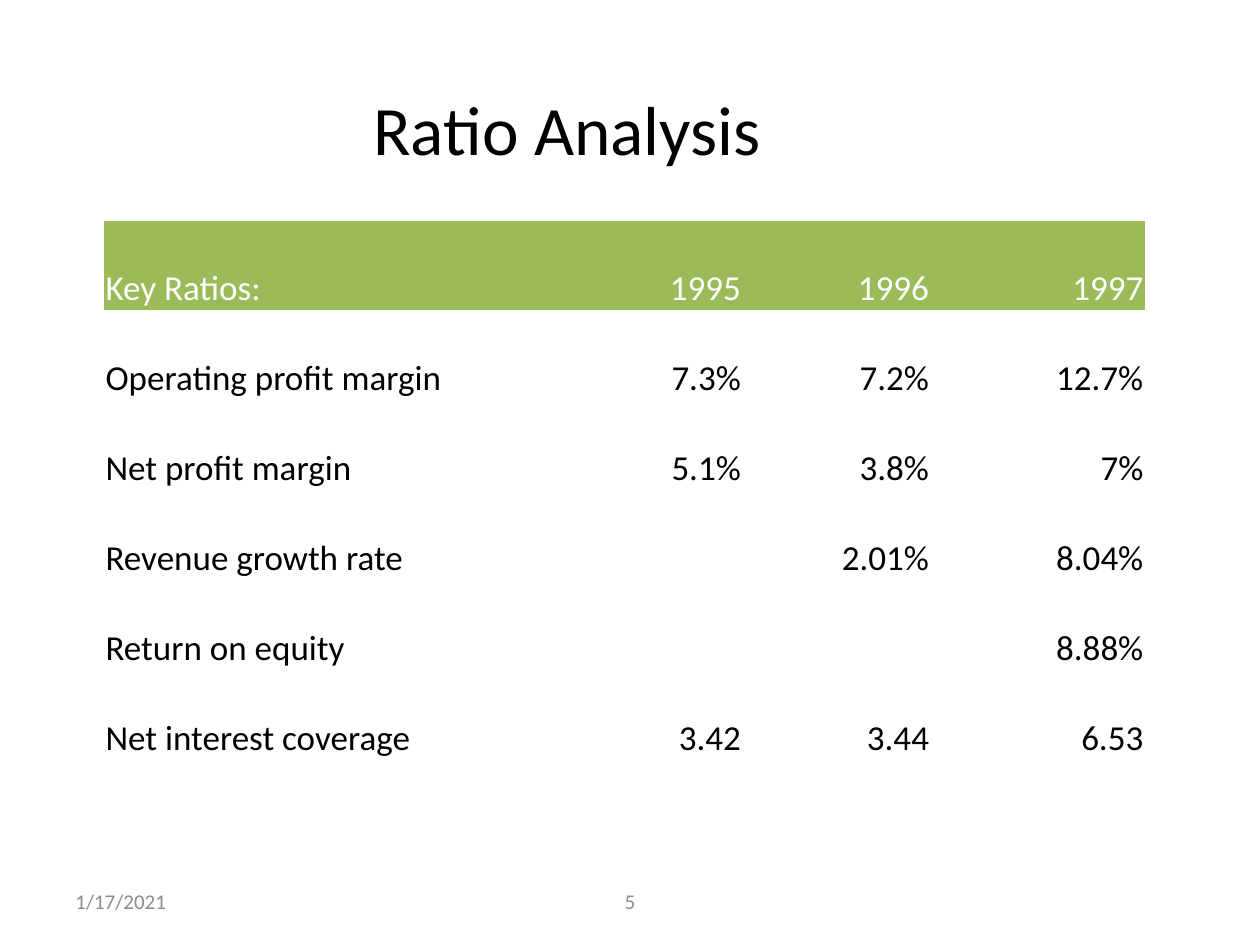
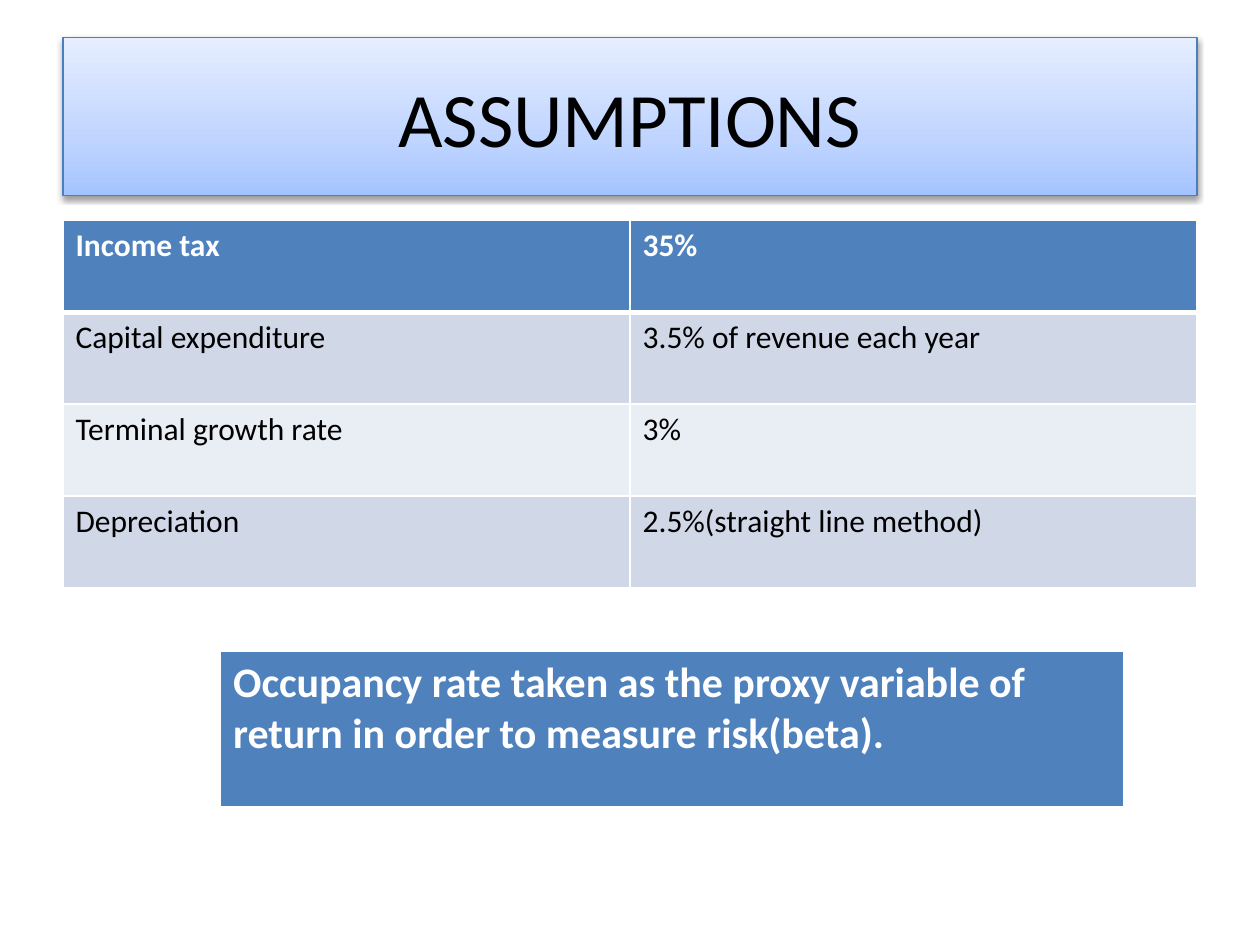
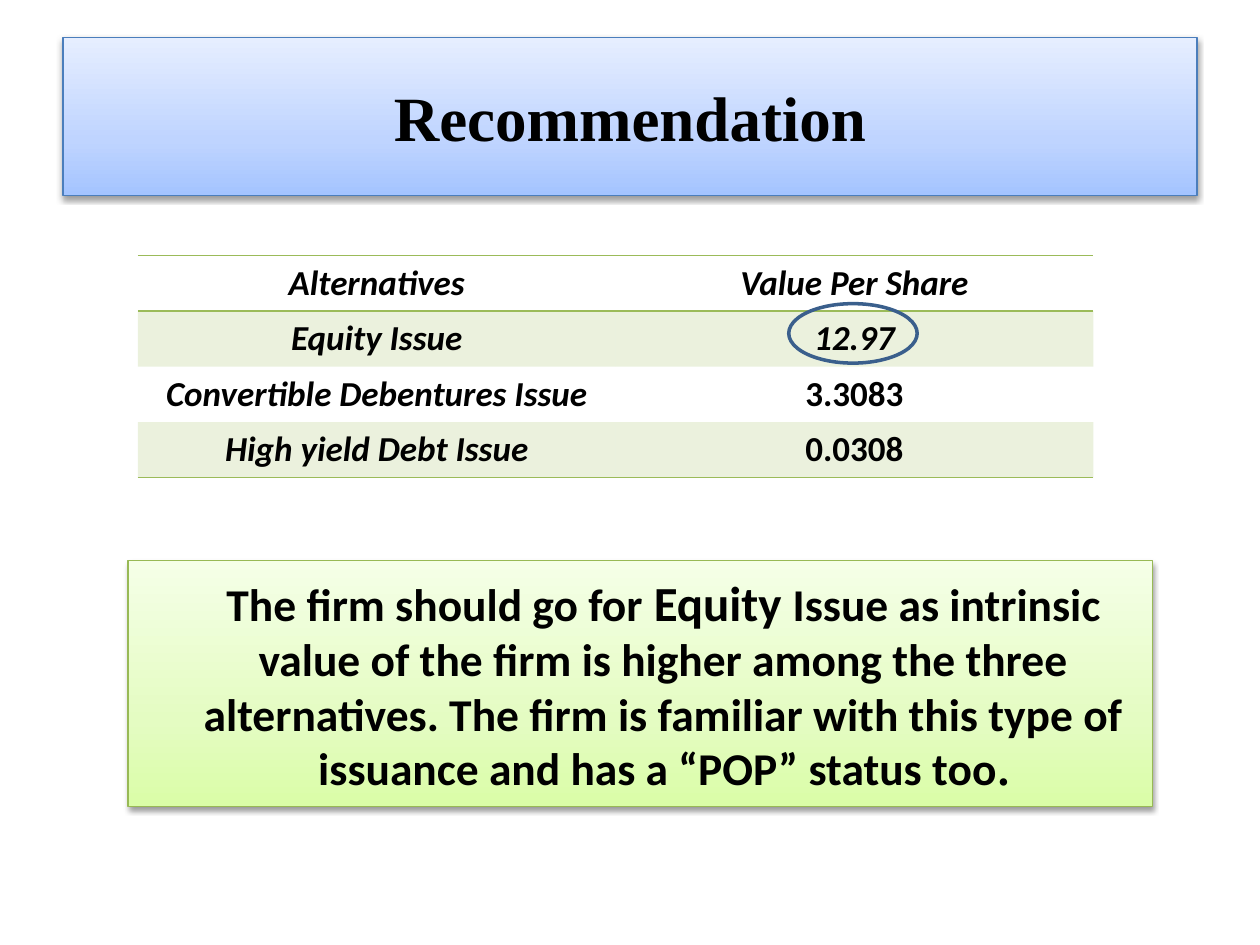
from dataclasses import dataclass, field

from lxml import etree
from pptx import Presentation
from pptx.dml.color import RGBColor
from pptx.enum.shapes import MSO_SHAPE
from pptx.enum.text import MSO_ANCHOR, MSO_AUTO_SIZE, PP_ALIGN
from pptx.oxml import parse_xml
from pptx.oxml.ns import nsdecls, qn
from pptx.util import Pt

LEFT, CENTER, RIGHT = PP_ALIGN.LEFT, PP_ALIGN.CENTER, PP_ALIGN.RIGHT
TOP, MIDDLE, BOTTOM = MSO_ANCHOR.TOP, MSO_ANCHOR.MIDDLE, MSO_ANCHOR.BOTTOM
NO_AUTOFIT = MSO_AUTO_SIZE.NONE
ELLIPSE = MSO_SHAPE.OVAL

# Layouts of the default template
TITLE_AND_BODY, TITLE_ONLY = 1, 5

SANS, SERIF = "Calibri", "Times New Roman"
COLORS = {
    "black": "000000",
    "white": "FFFFFF",
    "footer": "8C8C8C",
    "blue": "4F81BD",
    "blue_line": "4B7EBC",
    "blue_ring": "3A5F8C",
    "blue_band": "D0D8E8",
    "blue_pale": "E9EDF4",
    "green": "9BBB59",
    "green_line": "98B955",
}
BLUE_GRADIENT = ((0, "A4C4FF"), (35, "BFD4FF"), (100, "E6EEFF"))
GREEN_GRADIENT = ((0, "DAFDA7"), (35, "E4FCC2"), (100, "F5FFE7"))
PLAIN_TABLE_STYLE = "{2D5ABB26-0587-4C30-8999-92F81FD0307C}"


@dataclass(frozen=True)
class Box:
    left: float
    top: float
    width: float
    height: float

    def lengths(self) -> tuple:
        return Pt(self.left), Pt(self.top), Pt(self.width), Pt(self.height)


@dataclass(frozen=True)
class Font:
    size: float
    color: str = "black"
    bold: bool = False
    italic: bool = False
    face: str = SANS


@dataclass(frozen=True)
class Row:
    cells: tuple
    font: Font
    last_font: Font | None = None
    fill: str | None = None
    alpha: int = 100
    # Side letter -> (colour, width)
    borders: dict = field(default_factory=dict)


@dataclass(frozen=True)
class Grid:
    left: float
    top: float
    columns: tuple
    row_height: float
    rows: tuple
    aligns: tuple
    anchor: object = TOP
    # Left, top, right, bottom
    insets: tuple = (7.2, 3.6, 7.2, 3.6)


BANNER = Box(36, 21.6, 648, 90)


def rgb(name: str) -> RGBColor:
    return RGBColor.from_string(COLORS[name])


def add_run(paragraph, text: str, font: Font) -> None:
    run = paragraph.add_run()
    run.text = text
    run.font.name = font.face
    run.font.size = Pt(font.size)
    run.font.bold = font.bold
    run.font.italic = font.italic
    run.font.color.rgb = rgb(font.color)


def place(shape, box: Box) -> None:
    shape.left, shape.top, shape.width, shape.height = box.lengths()


def add_panel_look(shape, gradient: tuple, line: str) -> None:
    """Upward gradient, thin outline and soft shadow."""
    stops = "".join(
        f'<a:gs pos="{pos * 1000}"><a:srgbClr val="{color}"/></a:gs>'
        for pos, color in gradient
    )
    properties = shape.element.spPr
    properties.append(parse_xml(
        f'<a:gradFill {nsdecls("a")} rotWithShape="1"><a:gsLst>{stops}</a:gsLst>'
        '<a:lin ang="16200000" scaled="1"/></a:gradFill>'
    ))
    shape.line.color.rgb = rgb(line)
    shape.line.width = Pt(0.75)
    properties.append(parse_xml(
        f'<a:effectLst {nsdecls("a")}>'
        f'<a:outerShdw blurRad="{Pt(3.1)}" dist="{Pt(1.6)}" dir="5400000" rotWithShape="0">'
        f'<a:srgbClr val="{COLORS["black"]}"><a:alpha val="38000"/></a:srgbClr>'
        '</a:outerShdw></a:effectLst>'
    ))


def set_title(slide, text: str, box: Box, font: Font):
    title = slide.shapes.title
    place(title, box)
    frame = title.text_frame
    frame.auto_size = NO_AUTOFIT
    frame.vertical_anchor = MIDDLE
    paragraph = frame.paragraphs[0]
    paragraph.alignment = CENTER
    add_run(paragraph, text, font)
    return title


def set_banner_title(slide, text: str, font: Font) -> None:
    title = set_title(slide, text, BANNER, font)
    add_panel_look(title, BLUE_GRADIENT, "blue_line")


def add_footer(slide, text: str, box: Box, align) -> None:
    frame = slide.shapes.add_textbox(*box.lengths()).text_frame
    frame.word_wrap = True
    frame.vertical_anchor = MIDDLE
    frame.paragraphs[0].alignment = align
    add_run(frame.paragraphs[0], text, Font(12, "footer"))


def style_cell(cell, row: Row) -> None:
    properties = cell._tc.get_or_add_tcPr()
    for side in "LRTB":
        if side in row.borders:
            color, width = row.borders[side]
            properties.append(parse_xml(
                f'<a:ln{side} {nsdecls("a")} w="{Pt(width)}"><a:solidFill>'
                f'<a:srgbClr val="{COLORS[color]}"/></a:solidFill></a:ln{side}>'
            ))
    if row.fill is None:
        cell.fill.background()
        return
    cell.fill.solid()
    cell.fill.fore_color.rgb = rgb(row.fill)
    if row.alpha < 100:
        color = properties.find(qn("a:solidFill")).find(qn("a:srgbClr"))
        etree.SubElement(color, qn("a:alpha")).set("val", str(row.alpha * 1000))


def add_grid(slide, grid: Grid) -> None:
    box = Box(grid.left, grid.top, sum(grid.columns), grid.row_height * len(grid.rows))
    table = slide.shapes.add_table(len(grid.rows), len(grid.columns), *box.lengths()).table
    table.first_row = table.horz_banding = False
    table._tbl.tblPr.find(qn("a:tableStyleId")).text = PLAIN_TABLE_STYLE
    for column, width in zip(table.columns, grid.columns):
        column.width = Pt(width)
    for row, table_row in zip(grid.rows, table.rows):
        table_row.height = Pt(grid.row_height)
        fonts = [row.font] * (len(row.cells) - 1) + [row.last_font or row.font]
        for cell, text, font, align in zip(table_row.cells, row.cells, fonts, grid.aligns):
            cell.vertical_anchor = grid.anchor
            (cell.margin_left, cell.margin_top,
             cell.margin_right, cell.margin_bottom) = map(Pt, grid.insets)
            style_cell(cell, row)
            if text:
                paragraph = cell.text_frame.paragraphs[0]
                paragraph.alignment = align
                add_run(paragraph, text, font)


def build_ratios(prs) -> None:
    slide = prs.slides.add_slide(prs.slide_layouts[TITLE_ONLY])
    add_footer(slide, "1/17/2021", Box(36, 500.5, 168, 28.8), LEFT)
    add_footer(slide, "5", Box(246, 500.5, 228, 28.8), CENTER)
    title = set_title(slide, "Ratio Analysis", Box(0, 49, 648, 90), Font(39.6))
    title.text_frame.vertical_anchor = TOP
    title.text_frame.margin_top = 0

    ratios = (
        ("Operating profit margin", "7.3%", "7.2%", "12.7%"),
        ("Net profit margin", "5.1%", "3.8%", "7%"),
        ("Revenue growth rate", "", "2.01%", "8.04%"),
        ("Return on equity", "", "", "8.88%"),
        ("Net interest coverage", "3.42", "3.44", "6.53"),
    )
    header = Row(("Key Ratios:", "1995", "1996", "1997"), Font(20, "white"), fill="green")
    add_grid(slide, Grid(
        59.6, 126, (304.5, 60, 107.5, 122.5), 51.4,
        (header, *(Row(cells, Font(20)) for cells in ratios)),
        (LEFT, RIGHT, RIGHT, RIGHT), BOTTOM, (0.72, 0.72, 0.72, 0),
    ))


def build_assumptions(prs) -> None:
    slide = prs.slides.add_slide(prs.slide_layouts[TITLE_ONLY])
    set_banner_title(slide, "ASSUMPTIONS", Font(44))

    thin, thick = ("white", 1), ("white", 3)
    header_borders = {"L": thin, "R": thin, "T": thin, "B": thick}
    body_borders = {"L": thin, "R": thin, "B": thin}
    assumptions = (
        ("Capital expenditure", "3.5% of revenue each year"),
        ("Terminal growth rate", "3%"),
        ("Depreciation", "2.5%(straight line method)"),
    )
    bands = ("blue_band", "blue_pale", "blue_band")
    header = Row(("Income tax", "35%"), Font(18, "white", bold=True),
                 fill="blue", borders=header_borders)
    body = (Row(cells, Font(18), fill=band, borders=body_borders)
            for cells, band in zip(assumptions, bands))
    add_grid(slide, Grid(36, 126, (324, 324), 52.5, (header, *body), (LEFT, LEFT)))

    # Note on the risk measure
    note = Row(
        ("Occupancy rate taken as the proxy variable of return in order to measure risk(beta).",),
        Font(24, "white", bold=True), fill="blue", borders=header_borders,
    )
    add_grid(slide, Grid(126, 372, (516,), 90, (note,), (LEFT,)))


def build_recommendation(prs) -> None:
    slide = prs.slides.add_slide(prs.slide_layouts[TITLE_AND_BODY])
    set_banner_title(slide, "Recommendation", Font(36, bold=True, face=SERIF))

    # Advice panel
    advice = slide.placeholders[1]
    place(advice, Box(73.2, 320.4, 585.2, 140.4))
    add_panel_look(advice, GREEN_GRADIENT, "green_line")
    frame = advice.text_frame
    frame.auto_size = NO_AUTOFIT
    frame.vertical_anchor = MIDDLE
    paragraph = frame.paragraphs[0]
    paragraph.alignment = CENTER
    properties = paragraph._p.get_or_add_pPr()
    properties.set("marL", str(Pt(27)))
    properties.set("indent", "0")
    etree.SubElement(properties, qn("a:buNone"))
    strong = Font(26, bold=True)
    add_run(paragraph, "The firm should go for ", strong)
    add_run(paragraph, "Equity ", Font(28, bold=True))
    add_run(paragraph, "Issue as intrinsic value of the firm is higher among the three "
            "alternatives. The firm is familiar with this type of issuance and has a "
            "“POP” status too", strong)
    add_run(paragraph, ".", Font(26, bold=True, face=SERIF))

    # Value of each alternative
    rule = ("green", 1)
    slanted, upright = Font(20, bold=True, italic=True), Font(20, bold=True)
    add_grid(slide, Grid(
        78.8, 146, (273, 273), 31.2,
        (
            Row(("Alternatives", "Value Per Share"), slanted, borders={"T": rule, "B": rule}),
            Row(("Equity Issue", "12.97"), slanted, fill="green", alpha=20),
            Row(("Convertible Debentures Issue", "3.3083"), slanted, upright),
            Row(("High yield Debt Issue", "0.0308"), slanted, upright,
                fill="green", alpha=20, borders={"B": rule}),
        ),
        (CENTER, CENTER), MIDDLE,
    ))

    # Ring around the best value
    ring = slide.shapes.add_shape(ELLIPSE, *Box(450.7, 173.5, 73.4, 34).lengths())
    ring.shadow.inherit = False
    ring.fill.background()
    ring.line.color.rgb = rgb("blue_ring")
    ring.line.width = Pt(2)


def main() -> None:
    prs = Presentation()
    prs.slide_width, prs.slide_height = Pt(720), Pt(540)
    build_ratios(prs)
    build_assumptions(prs)
    build_recommendation(prs)
    prs.save("out.pptx")


if __name__ == "__main__":
    main()
